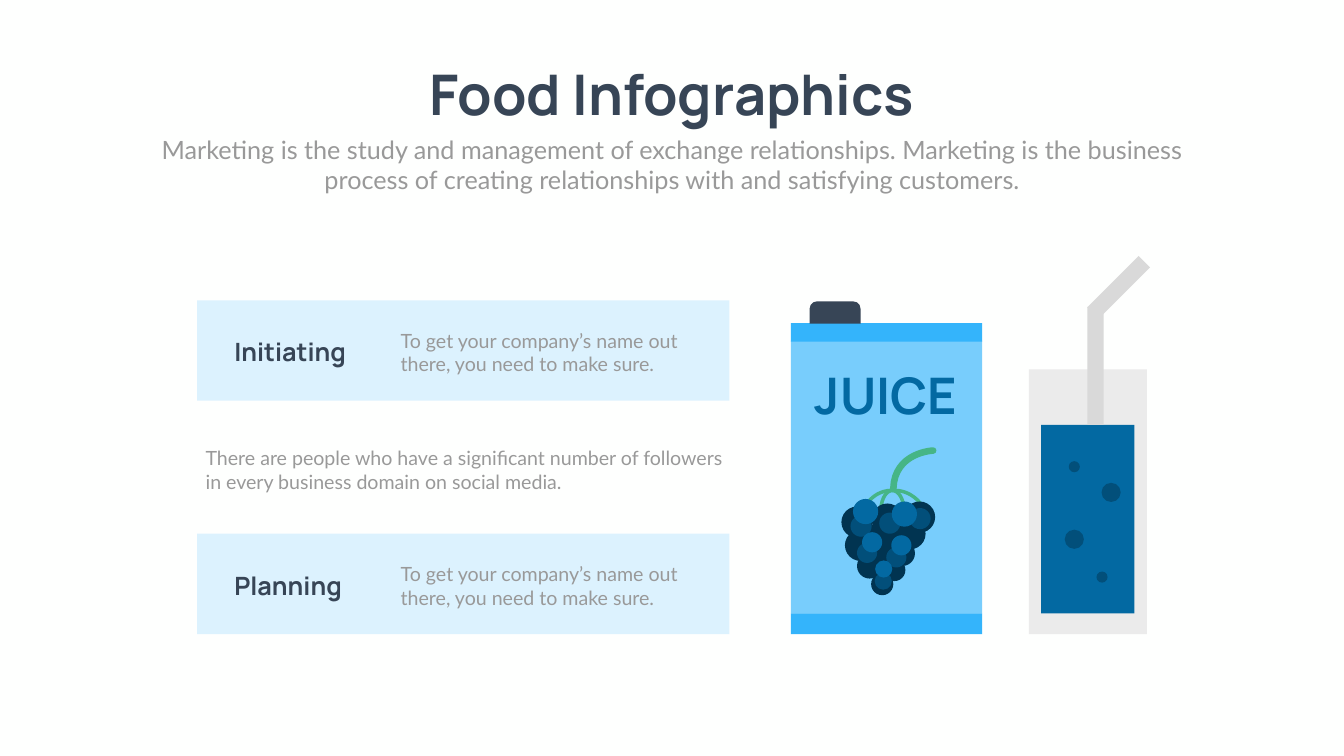
from lxml import etree
from pptx import Presentation
from pptx import util as u
from pptx.dml.color import RGBColor
from pptx.enum import shapes, text
from pptx.oxml.ns import qn

COLORS = {
    "paper": "FEFFFE", "ink": "374556", "grey": "999999", "panel": "BBE6FE",
    "carton": "78CDFC", "band": "34B4FB", "glass": "EBEBEB", "straw": "D9D9D9",
    "juice": "0369A2", "shade": "024F7A", "grape": "013451", "stem": "46B586",
}
HEADING = {"name": "Manrope", "bold": True}
BODY = {"name": "Lato", "bold": False}


class InfographicSlide:
    """Holds the style and the slide that is being drawn."""

    def __init__(self, presentation):
        self.slide = presentation.slides.add_slide(presentation.slide_layouts[5])
        fill = self.slide.background.fill
        fill.solid()
        fill.fore_color.rgb = self.color("paper")

    def color(self, name):
        return RGBColor.from_string(COLORS[name])

    def set_words(self, shape, words, size, color, style, align, wrap=True):
        frame = shape.text_frame
        settings = {"word_wrap": wrap, "auto_size": text.MSO_AUTO_SIZE.SHAPE_TO_FIT_TEXT,
                    "vertical_anchor": text.MSO_ANCHOR.TOP}
        for key, value in settings.items():
            setattr(frame, key, value)
        paragraph = frame.paragraphs[0]
        paragraph.alignment = align
        run = paragraph.add_run()
        run.text = words
        for key, value in {**style, "size": u.Pt(size)}.items():
            setattr(run.font, key, value)
        run.font.color.rgb = self.color(color)

    def title(self, box, words, size):
        shape = self.slide.shapes.title
        for key, value in zip(("left", "top", "width", "height"), box):
            setattr(shape, key, u.Inches(value))
        self.set_words(shape, words, size, "ink", HEADING, text.PP_ALIGN.CENTER, wrap=False)

    def label(self, box, words, size, color="grey", style=BODY, align=text.PP_ALIGN.LEFT):
        shape = self.slide.shapes.add_textbox(*map(u.Inches, box))
        self.set_words(shape, words, size, color, style, align)

    def block(self, box, color, kind=shapes.MSO_SHAPE.RECTANGLE, opacity=None):
        shape = self.slide.shapes.add_shape(kind, *map(u.Inches, box))
        shape.shadow.inherit = False
        shape.fill.solid()
        shape.fill.fore_color.rgb = self.color(color)
        shape.line.fill.background()
        if opacity:
            tint = shape._element.spPr.find(qn("a:solidFill"))[0]
            etree.SubElement(tint, qn("a:alpha")).set("val", str(opacity * 1000))
        return shape

    def circles(self, color, radius, *centres):
        for x, y in centres:
            box = (x - radius, y - radius, 2 * radius, 2 * radius)
            self.block(box, color, shapes.MSO_SHAPE.OVAL)

    def curve(self, color, width, *controls, steps=16):
        """Draw a round-ended stroke along a cubic Bezier curve."""
        points = []
        for step in range(steps + 1):
            t = step / steps
            weights = ((1 - t) ** 3, 3 * t * (1 - t) ** 2, 3 * t * t * (1 - t), t ** 3)
            points.append([u.Inches(sum(w * c[axis] for w, c in zip(weights, controls)))
                           for axis in (0, 1)])
        builder = self.slide.shapes.build_freeform(*points[0])
        builder.add_line_segments(points[1:], close=False)
        shape = builder.convert_to_shape()
        shape.shadow.inherit = False
        shape.fill.background()
        shape.line.width = u.Pt(width)
        shape.line.color.rgb = self.color(color)
        shape._element.spPr.find(qn("a:ln")).set("cap", "rnd")


def draw_carton(page):
    left, width = 15.69, 3.79
    page.block((left, 6.76, width, 5.41), "carton")
    page.block((left, 12.17, width, 0.41), "band")
    page.block((left, 6.41, width, 0.37), "band")
    cap = page.block((16.06, 5.98, 1.01, 0.44), "ink", shapes.MSO_SHAPE.ROUND_2_SAME_RECTANGLE)
    cap.adjustments[0] = 0.33
    page.label((15.74, 7.18, 3.67, 1.31), "JUICE", 72, "juice", HEADING, text.PP_ALIGN.CENTER)


def draw_glass(page):
    page.block((20.41, 7.33, 2.34, 5.25), "glass")
    page.block((20.65, 8.43, 1.85, 3.74), "juice")
    # Straw: upright part and tilted end
    page.block((21.57, 6.09, 0.32, 2.34), "straw")
    page.block((21.47, 5.54, 1.44, 0.32), "straw").rotation = 315
    # Bubbles
    page.circles("shade", 0.19, (22.04, 9.77), (21.31, 10.7))
    page.circles("shade", 0.11, (21.86, 11.45), (21.31, 9.26))


def draw_grapes(page):
    # Stems
    page.curve("stem", 5, (17.12, 10.13), (17.12, 10.13), (17.26, 9.75), (17.67, 9.73))
    page.curve("stem", 5, (17.69, 9.73), (18.1, 9.71), (18.28, 10.02), (18.3, 10.05))
    page.curve("stem", 5, (17.47, 10.13), (17.5, 9.6), (17.9, 9.6), (17.94, 10.13))
    page.curve("stem", 9.4, (17.72, 9.7), (17.74, 8.97), (18.51, 8.94), (18.51, 8.94))
    # Dark berries behind
    page.circles("grape", 0.45, (17.6, 10.75))
    page.circles("grape", 0.31, (18.24, 10.26), (17.6, 10.3), (17, 10.36),
                 (17.07, 10.82), (18.05, 10.59))
    page.circles("grape", 0.25, (17.25, 11.23), (17.9, 10.98))
    page.circles("grape", 0.22, (17.74, 11.31), (17.5, 11.59))
    # Middle berries
    page.circles("shade", 0.21, (17.65, 10.38), (18.25, 10.29), (17.08, 10.44))
    page.circles("shade", 0.2, (17.78, 11.06), (17.2, 10.97))
    page.circles("shade", 0.17, (17.52, 11.53))
    # Bright berries in front
    page.circles("juice", 0.25, (17.17, 10.15), (17.94, 10.2))
    page.circles("juice", 0.2, (17.3, 10.76), (17.88, 10.82))
    page.circles("juice", 0.17, (17.53, 11.29))


def draw_panels(page):
    for row, heading in enumerate(("Initiating", "Planning")):
        top = 5.96 + row * 4.63
        page.block((3.91, top, 10.56, 1.99), "panel", opacity=50)
        page.label((4.55, top + 0.67, 3.04, 0.71), heading, 36, "ink", HEADING)
        page.label((7.85, top + 0.51, 6.24, 1.04),
                   "To get your company’s name out there, you need to make sure.", 28)
    page.label((3.98, 8.8, 10.76, 0.97),
               "There are people who have a significant number of followers "
               "in every business domain on social media.", 28)


def main():
    presentation = Presentation()
    presentation.slide_width = u.Inches(26.66)
    presentation.slide_height = u.Inches(15)
    page = InfographicSlide(presentation)
    # Heading
    page.title((8.02, 1.14, 10.61, 1.45), "Food Infographics", 80)
    page.label((2.92, 2.61, 20.82, 1.31),
               "Marketing is the study and management of exchange relationships. Marketing is "
               "the business process of creating relationships with and satisfying customers.",
               36, align=text.PP_ALIGN.CENTER)
    # Illustration and text panels
    draw_carton(page)
    draw_glass(page)
    draw_grapes(page)
    draw_panels(page)
    presentation.save("out.pptx")


if __name__ == "__main__":
    main()
